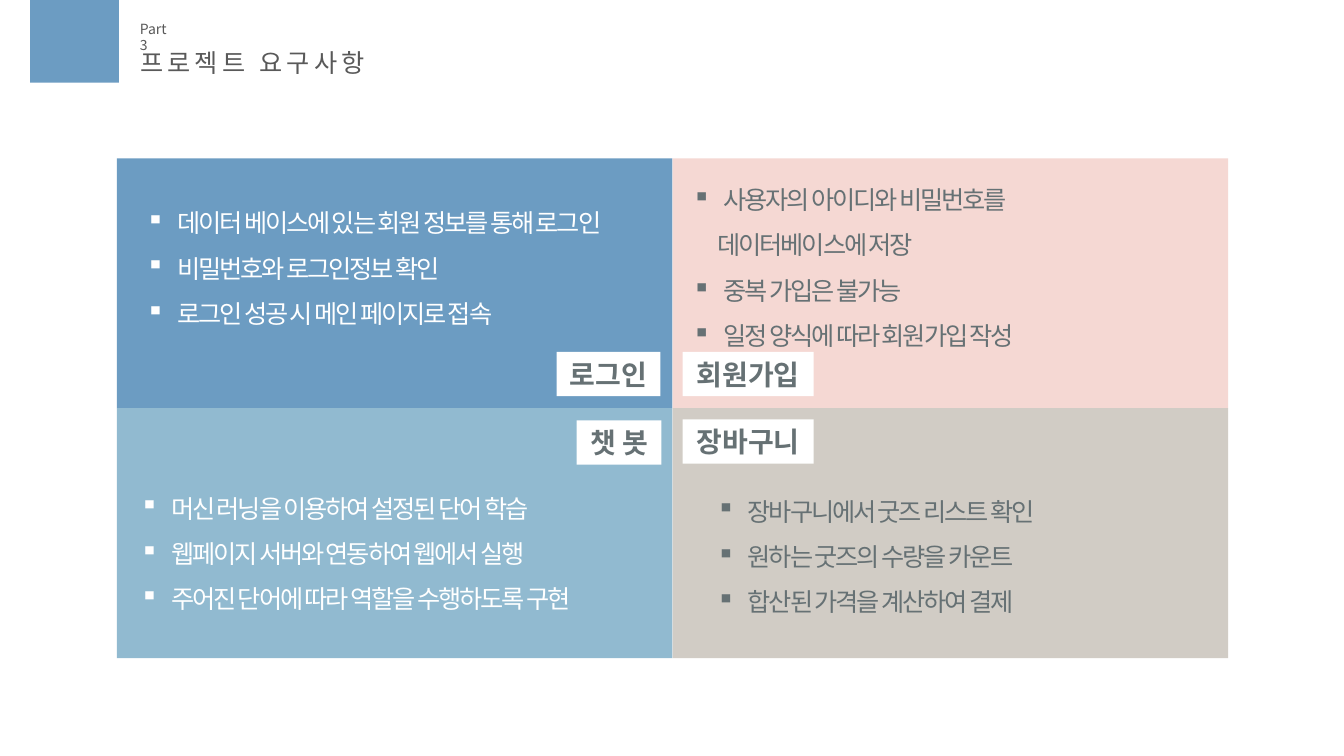
from lxml.etree import SubElement
from pptx import Presentation
from pptx.dml.color import RGBColor
from pptx.enum.shapes import MSO_SHAPE
from pptx.enum.text import MSO_ANCHOR, PP_ALIGN
from pptx.oxml.ns import qn
from pptx.util import Inches, Pt

FONT = "Noto Sans CJK KR"
BLUE, WHITE, SLATE, GRAY = "6C9CC2", "FFFFFF", "667174", "595959"
GRID_LEFT, GRID_TOP, CELL_WIDTH, CELL_HEIGHT = 1.16, 1.57, 5.51, 2.48
BULLET_INDENT, CONTINUATION_INDENT = 0.31, 0.25

HEADINGS = [
    ("Part 3", (1.29, 0.15, 0.54, 0.27), {"size": 10, "wrap": True}),
    ("프로젝트 요구사항", (1.29, 0.42, 2.68, 0.4), {"size": 18, "spacing": 3}),
]

QUADRANTS = [
    {
        "fill": BLUE, "color": WHITE,
        "label": "로그인", "label_box": (5.52, 3.49, 1.03, 0.44),
        "text_box": (1.35, 1.86, 5.31, 1.39),
        "lines": [
            ("데이터 베이스에 있는 회원 정보를 통해 로그인", True),
            ("비밀번호와 로그인정보 확인", True),
            ("로그인 성공 시 메인 페이지로 접속", True),
        ],
    },
    {
        "fill": "F5D8D3", "color": SLATE,
        "label": "회원가입", "label_box": (6.77, 3.49, 1.3, 0.44),
        "text_box": (6.77, 1.63, 5.07, 1.87),
        "lines": [
            ("사용자의 아이디와 비밀번호를", True),
            ("데이터베이스에 저장", False),
            ("중복 가입은 불가능", True),
            ("일정 양식에 따라 회원가입 작성", True),
        ],
    },
    {
        "fill": "91BAD0", "color": WHITE,
        "label": "챗 봇", "label_box": (5.72, 4.17, 0.84, 0.44),
        "text_box": (1.29, 4.69, 5.02, 1.41),
        "lines": [
            ("머신 러닝을 이용하여 설정된 단어 학습", True),
            ("웹페이지 서버와 연동하여 웹에서 실행", True),
            ("주어진 단어에 따라 역할을 수행하도록 구현", True),
        ],
    },
    {
        "fill": "D1CCC5", "color": SLATE,
        "label": "장바구니", "label_box": (6.77, 4.16, 1.3, 0.44),
        "text_box": (7.01, 4.72, 4.83, 1.41),
        "lines": [
            ("장바구니에서 굿즈 리스트 확인", True),
            ("원하는 굿즈의 수량을 카운트", True),
            ("합산된 가격을 계산하여 결제", True),
        ],
    },
]


def rgb(color):
    return RGBColor.from_string(color)


def add_rectangle(slide, box, fill):
    shape = slide.shapes.add_shape(MSO_SHAPE.RECTANGLE, *map(Inches, box))
    shape.shadow.inherit = False
    shape.fill.solid()
    shape.fill.fore_color.rgb = rgb(fill)
    shape.line.fill.background()
    return shape


def add_text_box(slide, box, wrap=False):
    frame = slide.shapes.add_textbox(*map(Inches, box)).text_frame
    frame.word_wrap = wrap
    return frame


def write(paragraph, text, size=18, color=GRAY, bold=False, spacing=0, align=PP_ALIGN.LEFT):
    paragraph.alignment = align
    run = paragraph.add_run()
    run.text = text
    run.font.name = FONT
    run.font.size = Pt(size)
    run.font.bold = bold
    run.font.color.rgb = rgb(color)
    properties = run._r.get_or_add_rPr()
    properties.set("spc", str(int(spacing * 100)))
    SubElement(properties, qn("a:ea")).set("typeface", FONT)


def indent_line(paragraph, bulleted):
    properties = paragraph._p.get_or_add_pPr()
    margin = BULLET_INDENT if bulleted else CONTINUATION_INDENT
    properties.set("marL", str(Inches(margin)))
    properties.set("indent", str(-Inches(margin) if bulleted else 0))
    if bulleted:
        SubElement(properties, qn("a:buChar")).set("char", "▪")
    paragraph.line_spacing = 1.5


def add_lines(slide, quadrant):
    frame = add_text_box(slide, quadrant["text_box"], wrap=True)
    for index, (text, bulleted) in enumerate(quadrant["lines"]):
        paragraph = frame.add_paragraph() if index else frame.paragraphs[0]
        indent_line(paragraph, bulleted)
        write(paragraph, text, color=quadrant["color"], spacing=-1.5)


def add_label(slide, quadrant):
    frame = add_rectangle(slide, quadrant["label_box"], WHITE).text_frame
    frame.word_wrap = False
    frame.vertical_anchor = MSO_ANCHOR.MIDDLE
    write(frame.paragraphs[0], quadrant["label"], size=20, color=SLATE, bold=True,
          align=PP_ALIGN.CENTER)


def main():
    presentation = Presentation()
    presentation.slide_width = Inches(13.33)
    presentation.slide_height = Inches(7.5)
    slide = presentation.slides.add_slide(presentation.slide_layouts[6])

    add_rectangle(slide, (0.3, 0, 0.88, 0.82), BLUE)
    for text, box, style in HEADINGS:
        frame = add_text_box(slide, box, style.pop("wrap", False))
        write(frame.paragraphs[0], text, **style)

    for index, quadrant in enumerate(QUADRANTS):
        row, column = divmod(index, 2)
        left = GRID_LEFT + column * CELL_WIDTH
        top = GRID_TOP + row * CELL_HEIGHT
        add_rectangle(slide, (left, top, CELL_WIDTH, CELL_HEIGHT), quadrant["fill"])
    for quadrant in QUADRANTS:
        add_lines(slide, quadrant)
        add_label(slide, quadrant)

    presentation.save("out.pptx")


if __name__ == "__main__":
    main()
